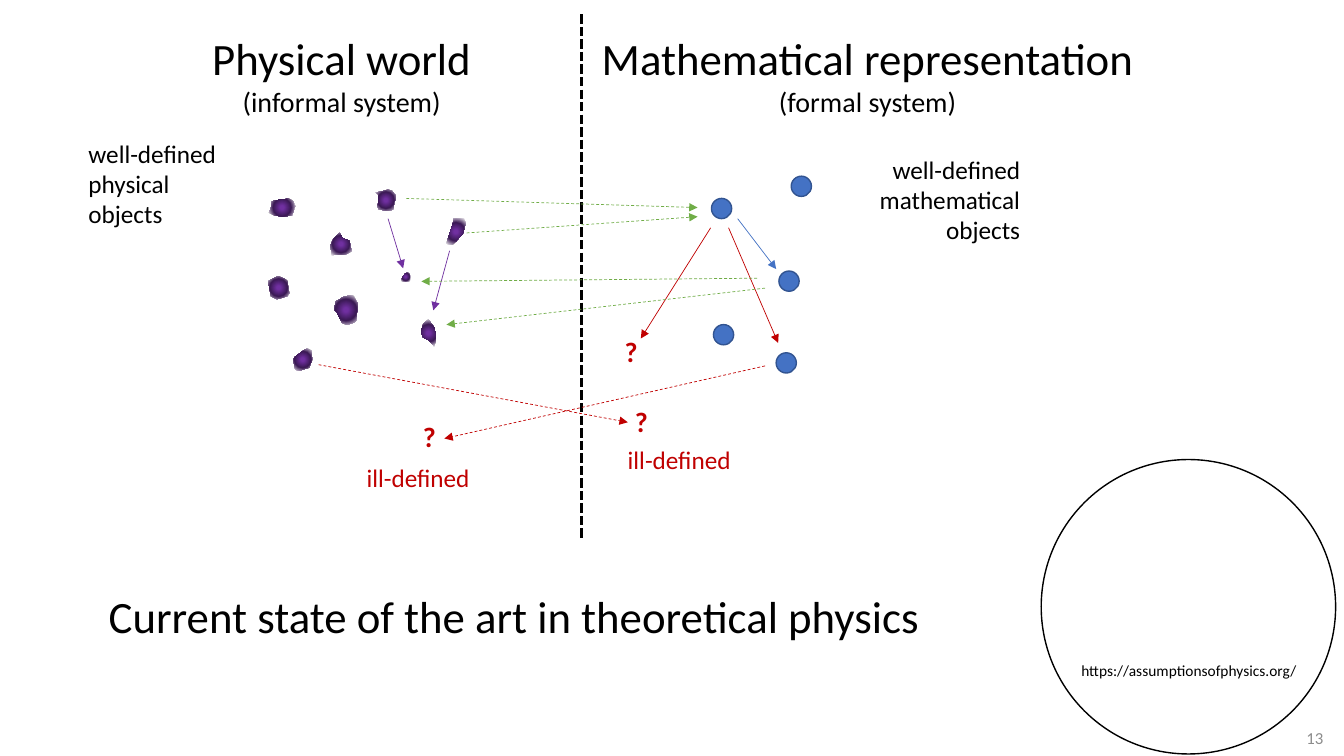
from dataclasses import dataclass

from lxml import etree
from pptx import Presentation
from pptx.dml.color import RGBColor
from pptx.enum.dml import MSO_LINE
from pptx.enum.shapes import MSO_CONNECTOR, MSO_SHAPE
from pptx.enum.text import MSO_ANCHOR, PP_ALIGN
from pptx.oxml import parse_xml
from pptx.oxml.ns import qn
from pptx.util import Cm, Pt

LEFT, MID, RIGHT = PP_ALIGN.LEFT, PP_ALIGN.CENTER, PP_ALIGN.RIGHT
TOP, CENTER = MSO_ANCHOR.TOP, MSO_ANCHOR.MIDDLE
DASH, DOTS = MSO_LINE.DASH, MSO_LINE.SQUARE_DOT
OVAL, STRAIGHT = MSO_SHAPE.OVAL, MSO_CONNECTOR.STRAIGHT
NS = "http://schemas.openxmlformats.org/drawingml/2006/main"


@dataclass(frozen=True)
class Theme:
    font: str = "Calibri"
    ink: str = "000000"
    gray: str = "8C8C8C"
    red: str = "C00000"
    green: str = "70AD47"
    blue: str = "4472C4"
    navy: str = "325491"
    purple: str = "7030A0"
    plum: str = "3C1A56"
    white: str = "FFFFFF"
    big: int = 32
    sub: int = 20
    body: int = 18
    page: int = 12
    link: int = 11


T = Theme()

# Physical objects: left, top, width, height in cm, then outline in percent
BLOBS = [
    (4.75, 6.32, 0.56, 0.58, [(41, 4), (5, 22), (18, 87), (45, 100), (91, 87),
                              (100, 74), (91, 22), (82, 13), (50, 0)]),
    (7.49, 4.14, 0.51, 0.53, [(0, 14), (45, 5), (60, 0), (80, 5), (100, 30),
                              (85, 95), (70, 100), (15, 95), (10, 81), (15, 24)]),
    (6.35, 5.23, 0.53, 0.56, [(43, 0), (15, 25), (0, 55), (5, 100), (76, 95),
                              (100, 82), (90, 36), (57, 23)]),
    (6.45, 6.8, 0.58, 0.74, [(0, 52), (4, 21), (17, 17), (35, 7), (70, 0), (83, 3),
                             (100, 28), (96, 86), (87, 93), (57, 100), (39, 97),
                             (30, 90), (9, 55)]),
    (5.41, 8.12, 0.48, 0.58, [(74, 4), (53, 13), (11, 39), (0, 52), (11, 96),
                              (35, 100), (84, 87), (100, 52), (95, 13)]),
    (8.13, 6.22, 0.23, 0.23, [(78, 0), (40, 20), (0, 80), (11, 100), (67, 100),
                              (100, 95), (100, 40)]),
    (8.64, 7.41, 0.36, 0.69, [(50, 0), (14, 15), (0, 40), (7, 63), (57, 78),
                              (93, 100), (100, 63), (93, 33), (79, 22)]),
    (9.27, 4.87, 0.48, 0.66, [(0, 96), (37, 12), (37, 0), (95, 0), (100, 20),
                              (89, 54), (53, 85), (42, 92), (32, 100)]),
    (4.8, 4.36, 0.66, 0.46, [(73, 0), (58, 6), (19, 11), (8, 22), (8, 50), (0, 78),
                             (20, 92), (50, 100), (88, 94), (100, 44), (92, 15)]),
]
DOTS_AT = [(4.8, 6.19), (3.1, 4.36), (3.15, 7.54), (5.11, 3.8), (4.73, 8.25)]


def rgb(code):
    return RGBColor.from_string(code)


def add_text(slide, x, y, w, h, text, sizes, color=T.ink, align=LEFT,
             bold=False, wrap=False, anchor=TOP):
    """Place text; sizes holds one size per paragraph, the last one repeating."""
    frame = slide.shapes.add_textbox(Cm(x), Cm(y), Cm(w), Cm(h)).text_frame
    frame.text = text
    frame.word_wrap = wrap
    frame.vertical_anchor = anchor
    for i, para in enumerate(frame.paragraphs):
        para.alignment = align
        for run in para.runs:
            font = run.font
            font.name, font.bold = T.font, bold
            font.size = Pt(sizes[min(i, len(sizes) - 1)])
            font.color.rgb = rgb(color)


def add_line(slide, box, ends, color, dash=None, width=0.5, arrow=True):
    x, y = box[:2]
    x1, y1, x2, y2 = ends
    link = slide.shapes.add_connector(
        STRAIGHT, Cm(x + x1), Cm(y + y1), Cm(x + x2), Cm(y + y2))
    link.line.color.rgb = rgb(color)
    link.line.width = Pt(width)
    if dash:
        link.line.dash_style = dash
    if arrow:
        etree.SubElement(link.line._get_or_add_ln(), qn("a:tailEnd"), type="triangle")
    etree.SubElement(link._element.spPr, qn("a:effectLst"))


def add_disc(slide, x, y, size, line, fill=None):
    disc = slide.shapes.add_shape(OVAL, Cm(x), Cm(y), Cm(size), Cm(size))
    disc.shadow.inherit = False
    disc.line.color.rgb = rgb(line)
    disc.line.width = Pt(1)
    if fill:
        disc.fill.solid()
        disc.fill.fore_color.rgb = rgb(fill)
    else:
        disc.fill.background()


def add_blob(slide, x, y, w, h, outline):
    pts = [(Cm(x + w * px / 100), Cm(y + h * py / 100)) for px, py in outline]
    pen = slide.shapes.build_freeform(*pts[0])
    pen.add_line_segments(pts[1:], close=True)
    blob = pen.convert_to_shape()
    blob.shadow.inherit = False
    blob.line.fill.background()
    # Radial gradient from the centre outwards
    blob.fill.background()
    stops = "".join(
        f'<a:gs pos="{pos}000"><a:srgbClr val="{color}"/></a:gs>'
        for pos, color in ((12, T.purple), (56, T.plum), (100, T.white)))
    grad = parse_xml(
        f'<a:gradFill xmlns:a="{NS}"><a:gsLst>{stops}</a:gsLst><a:path path="circle">'
        '<a:fillToRect l="50000" t="50000" r="50000" b="50000"/></a:path></a:gradFill>')
    props = blob._element.spPr
    props.replace(props.find(qn("a:noFill")), grad)


def add_head(slide, box, name, kind):
    x, y, w = box[:3]
    add_text(slide, x, y, w, 2.49, f"{name}\n({kind})", (T.big, T.sub), align=MID)


def add_doubt(slide, x, y):
    add_text(slide, x, y, 0.84, 1.12, "?", (T.sub,), T.red, bold=True)


def add_ill(slide, x, y):
    add_text(slide, x, y, 3.15, 1.02, "ill-defined", (T.body,), T.red)


def draw_world(slide, box):
    x, y = box[:2]
    add_head(slide, box, "Physical world", "informal system")
    add_text(slide, x, y + 2.71, 3.76, 2.57,
             "well-defined\nphysical\nobjects", (T.body,))
    for left, top, w, h, outline in BLOBS:
        add_blob(slide, x + left, y + top, w, h, outline)
    for ends in ((9.35, 5.68, 8.94, 7.18), (7.8, 4.87, 8.18, 6.12)):
        add_line(slide, box, ends, T.purple)
    add_doubt(slide, x + 8.43, y + 9.8)
    add_ill(slide, x + 7.01, y + 10.89)


def draw_math(slide, box):
    x, y = box[:2]
    add_head(slide, box, "Mathematical representation", "formal system")
    add_text(slide, x + 7.04, y + 3.12, 4.09, 2.57,
             "well-defined\nmathematical\nobjects", (T.body,), align=RIGHT)
    for left, top in DOTS_AT:
        add_disc(slide, x + left, y + top, 0.51, T.navy, T.blue)
    add_line(slide, box, (3.76, 4.87, 4.73, 6.14), T.blue)
    for ends in ((3.53, 5.1, 4.78, 8), (3.08, 5.1, 1.32, 7.89)):
        add_line(slide, box, ends, T.red)
    for left, top in ((0.92, 9.44), (0.66, 7.67)):
        add_doubt(slide, x + left, y + top)
    add_ill(slide, x + 0.74, y + 10.43)


def draw_links(slide, box):
    # Divider, then the arrows that cross it
    add_line(slide, box, (14.66, 0.36, 14.66, 13.59), T.ink, DOTS, 2.25, False)
    for ends in ((11.76, 5.87, 17.58, 5.46), (10.24, 5, 17.58, 5.23),
                 (19.28, 7.26, 11.25, 8.18), (19.08, 7.01, 10.62, 7.09)):
        add_line(slide, box, ends, T.green, DASH)
    for ends in ((8.03, 9.19, 15.82, 10.64), (19.28, 9.22, 11.2, 11.05)):
        add_line(slide, box, ends, T.red, DASH)


def draw_badge(slide, box):
    x, y, size = box[:3]
    add_disc(slide, x, y, size, T.ink)
    add_text(slide, x + 0.76, y + 4.96, 5.97, 0.74,
             "https://assumptionsofphysics.org/", (T.link,))
    add_text(slide, x + 5.81, y + 6.68, 1.55, 0.64, "13", (T.page,), T.gray,
             RIGHT, wrap=True, anchor=CENTER)


def main():
    deck = Presentation()
    deck.slide_width, deck.slide_height = Cm(33.87), Cm(19.05)
    slide = deck.slides.add_slide(deck.slide_layouts[6])
    draw_badge(slide, (26.24, 11.58, 7.42, 7.42))
    draw_world(slide, (1.98, 0.64, 13.26, 12.6))
    draw_math(slide, (14.83, 0.64, 14.07, 12.6))
    draw_links(slide, (0, 0, 33.87, 19.05))
    add_text(slide, 2.49, 14.71, 21.16, 1.63,
             "Current state of the art in theoretical physics", (T.big,))
    deck.save("out.pptx")


if __name__ == "__main__":
    main()
